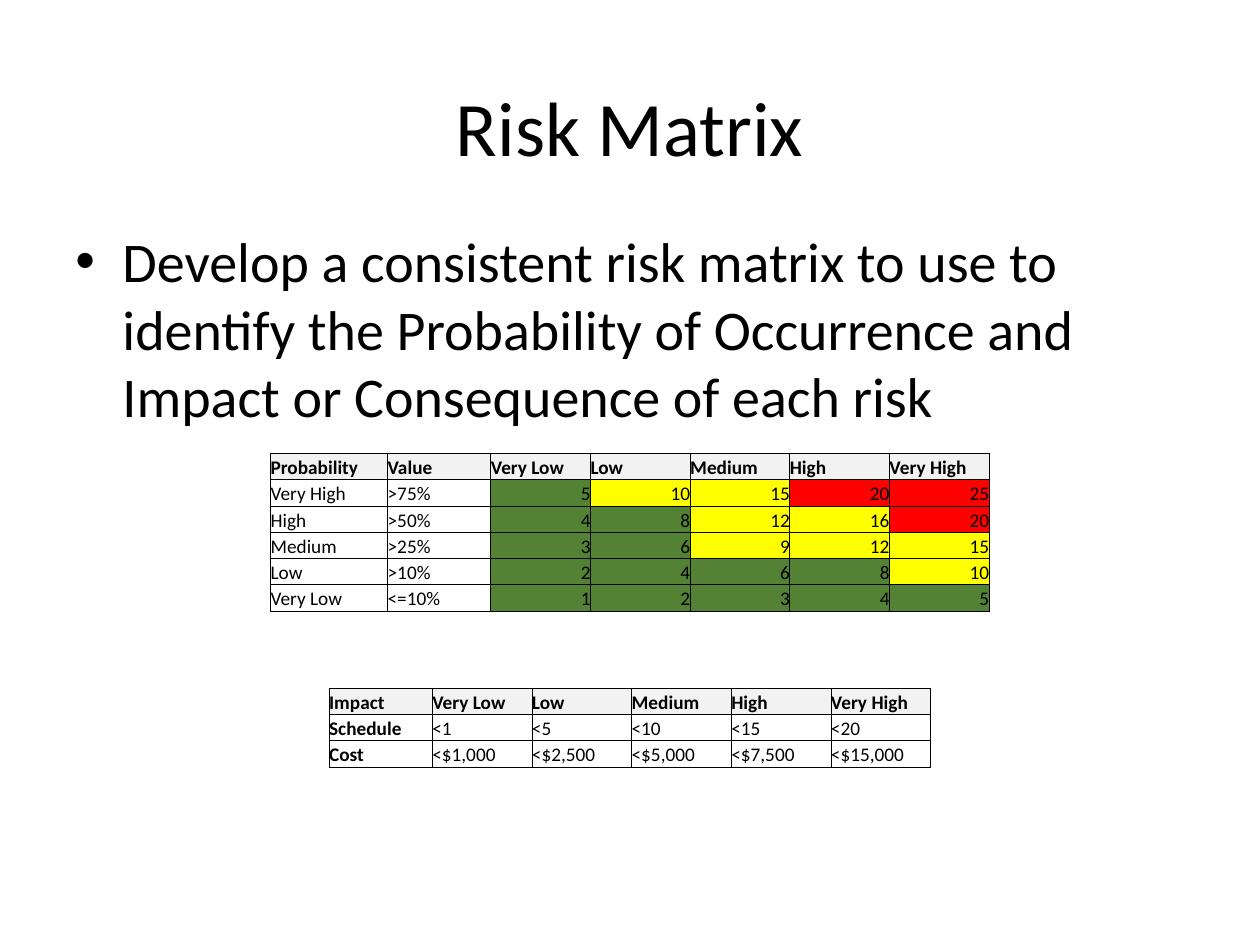
from dataclasses import dataclass

from lxml import etree
from pptx import Presentation
from pptx.dml.color import RGBColor
from pptx.enum.text import MSO_ANCHOR, PP_ALIGN
from pptx.oxml.ns import qn
from pptx.slide import Slide
from pptx.table import _Cell
from pptx.text.text import TextFrame, _Paragraph
from pptx.util import Cm, Emu, Pt

LEFT, CENTER, RIGHT = PP_ALIGN.LEFT, PP_ALIGN.CENTER, PP_ALIGN.RIGHT
TOP, MIDDLE, BOTTOM = MSO_ANCHOR.TOP, MSO_ANCHOR.MIDDLE, MSO_ANCHOR.BOTTOM
SLIDE_WIDTH, SLIDE_HEIGHT = 25.4, 19.05


@dataclass(frozen=True)
class Theme:
    font: str = "Calibri"
    title_size: float = 44
    body_size: float = 32
    table_size: float = 11
    border_width: float = 0.5
    ink: str = "000000"
    header: str = "F2F2F2"
    low_risk: str = "548235"
    medium_risk: str = "FFFF00"
    high_risk: str = "FF0000"


THEME = Theme()


@dataclass(frozen=True)
class Entry:
    text: str
    fill: str | None = None
    bold: bool = False
    align: PP_ALIGN = LEFT


@dataclass(frozen=True)
class Grid:
    top: float
    column_widths: list[float]
    rows: list[list[Entry]]
    row_height: float = 0.53


def apply(target: object, values: dict[str, object]) -> None:
    for name, value in values.items():
        setattr(target, name, value)


def write(paragraph: _Paragraph, text: str, size: float,
          bold: bool = False, align: PP_ALIGN = LEFT) -> None:
    paragraph.alignment = align
    run = paragraph.add_run()
    run.text = text
    apply(run.font, {"name": THEME.font, "size": Pt(size), "bold": bold})
    run.font.color.rgb = RGBColor.from_string(THEME.ink)


def add_bullet(paragraph: _Paragraph, indent: Emu) -> None:
    properties = paragraph._p.get_or_add_pPr()
    properties.set("marL", str(indent))
    properties.set("indent", str(-indent))
    etree.SubElement(properties, qn("a:buFont"), typeface="Arial")
    etree.SubElement(properties, qn("a:buChar"), char="•")


def add_borders(cell: _Cell) -> None:
    properties = cell._tc.get_or_add_tcPr()
    for position, side in enumerate(("a:lnL", "a:lnR", "a:lnT", "a:lnB")):
        border = etree.Element(qn(side), w=str(Pt(THEME.border_width)))
        fill = etree.SubElement(border, qn("a:solidFill"))
        etree.SubElement(fill, qn("a:srgbClr"), val=THEME.ink)
        properties.insert(position, border)


def fill_cell(cell: _Cell, entry: Entry) -> None:
    apply(cell, {"margin_left": 0, "margin_right": 0, "margin_top": 0,
                 "margin_bottom": 0, "vertical_anchor": BOTTOM})
    if entry.fill:
        cell.fill.solid()
        cell.fill.fore_color.rgb = RGBColor.from_string(entry.fill)
    else:
        cell.fill.background()
    add_borders(cell)
    write(cell.text_frame.paragraphs[0], entry.text, THEME.table_size,
          entry.bold, entry.align)


def draw_grid(slide: Slide, grid: Grid) -> None:
    """Draw a table centred across the slide."""
    width = sum(grid.column_widths)
    table = slide.shapes.add_table(
        len(grid.rows), len(grid.column_widths),
        Cm((SLIDE_WIDTH - width) / 2), Cm(grid.top),
        Cm(width), Cm(grid.row_height * len(grid.rows))).table
    apply(table, {"first_row": False, "horz_banding": False})
    for column, column_width in zip(table.columns, grid.column_widths):
        column.width = Cm(column_width)
    for row, entries in zip(table.rows, grid.rows):
        row.height = Cm(grid.row_height)
        for cell, entry in zip(row.cells, entries):
            fill_cell(cell, entry)


def header_row(*labels: str) -> list[Entry]:
    return [Entry(label, THEME.header, True) for label in labels]


def score_entry(score: int) -> Entry:
    if score >= 20:
        fill = THEME.high_risk
    elif score >= 9:
        fill = THEME.medium_risk
    else:
        fill = THEME.low_risk
    return Entry(str(score), fill, align=RIGHT)


presentation = Presentation()
apply(presentation, {"slide_width": Cm(SLIDE_WIDTH),
                     "slide_height": Cm(SLIDE_HEIGHT)})
slide = presentation.slides.add_slide(presentation.slide_layouts[5])

# Title
title = slide.shapes.title
apply(title, {"left": Cm(1.27), "top": Cm(0.95),
              "width": Cm(22.86), "height": Cm(3.18)})
title.text_frame.vertical_anchor = MIDDLE
write(title.text_frame.paragraphs[0], "Risk Matrix", THEME.title_size, align=CENTER)

# Advice
advice: TextFrame = slide.shapes.add_textbox(
    Cm(1.27), Cm(4.45), Cm(22.86), Cm(12.57)).text_frame
apply(advice, {"word_wrap": True, "vertical_anchor": TOP})
advice_line = advice.paragraphs[0]
write(advice_line,
      "Develop a consistent risk matrix to use to identify the Probability of "
      "Occurrence and Impact or Consequence of each risk", THEME.body_size)
advice_line.space_before = Pt(0.2 * THEME.body_size)
add_bullet(advice_line, Cm(0.95))

# Probability by impact: each score is the product of the two levels
LEVELS = ["Very Low", "Low", "Medium", "High", "Very High"]
THRESHOLDS = ["<=10%", ">10%", ">25%", ">50%", ">75%"]
VALUE_WIDTH = 2.08
LEVEL_WIDTHS = [2.01] * len(LEVELS)

probability_rows = [
    [Entry(LEVELS[rank - 1]), Entry(THRESHOLDS[rank - 1])]
    + [score_entry(rank * impact) for impact in range(1, len(LEVELS) + 1)]
    for rank in range(len(LEVELS), 0, -1)
]
draw_grid(slide, Grid(9.14, [2.36, VALUE_WIDTH, *LEVEL_WIDTHS],
                      [header_row("Probability", "Value", *LEVELS), *probability_rows]))

# Impact limits
IMPACT_LIMITS = {
    "Schedule": ["<1", "<5", "<10", "<15", "<20"],
    "Cost": ["<$1,000", "<$2,500", "<$5,000", "<$7,500", "<$15,000"],
}
impact_rows = [[Entry(measure, bold=True), *map(Entry, limits)]
               for measure, limits in IMPACT_LIMITS.items()]
draw_grid(slide, Grid(13.87, [VALUE_WIDTH, *LEVEL_WIDTHS],
                      [header_row("Impact", *LEVELS), *impact_rows]))

presentation.save("out.pptx")
